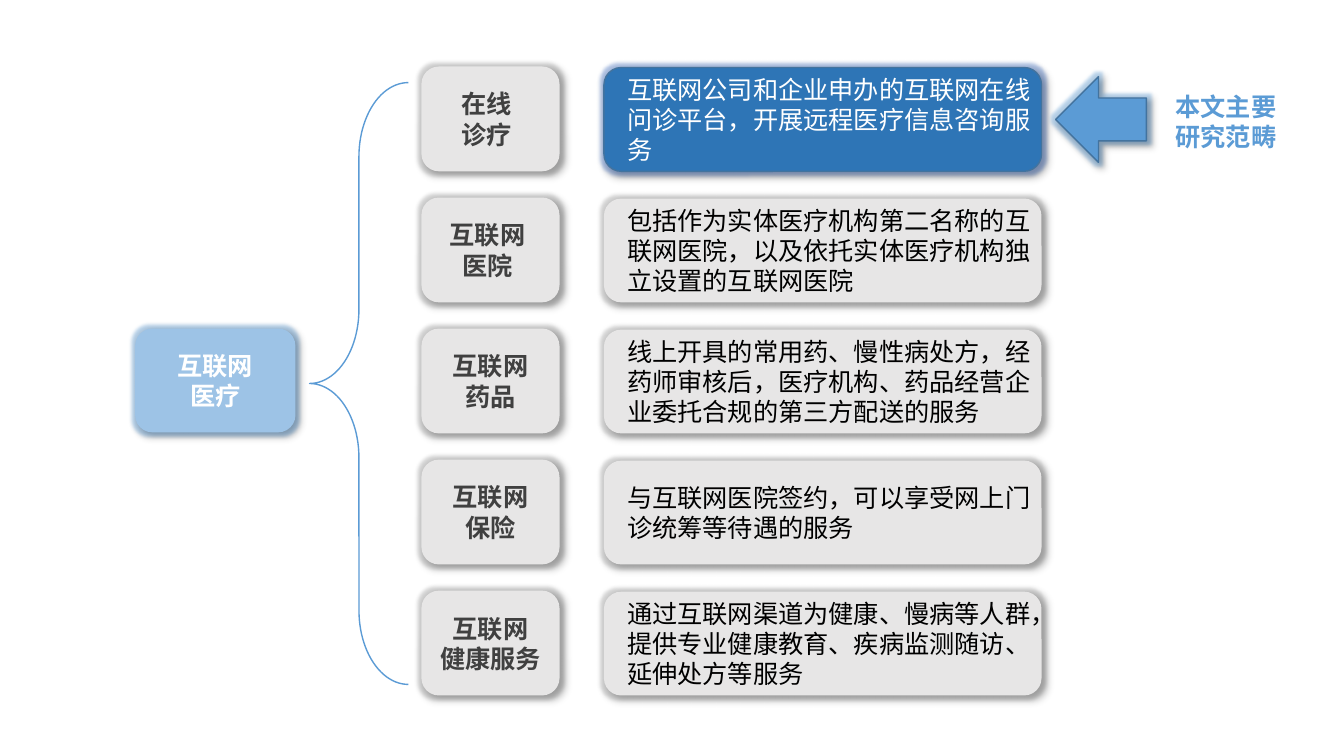
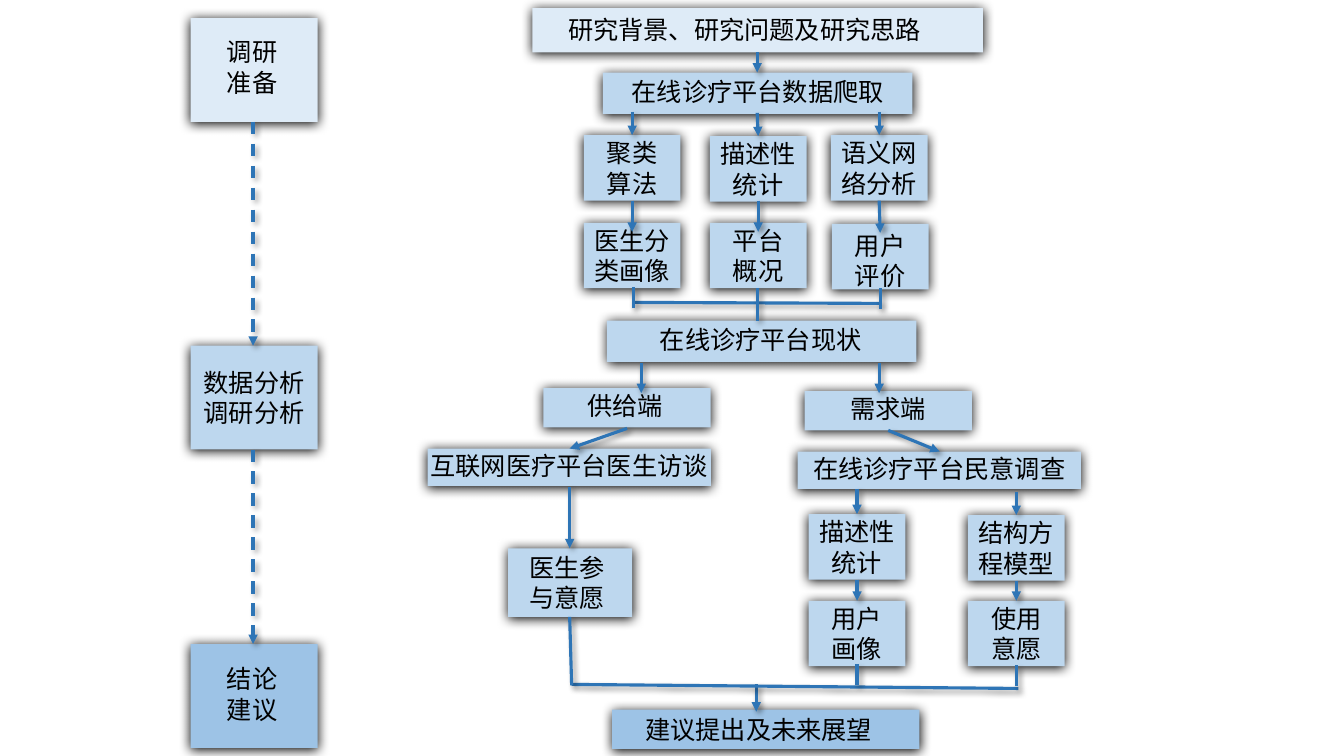
from lxml import etree
from pptx import Presentation
from pptx.dml.color import RGBColor
from pptx.enum.dml import MSO_LINE
from pptx.enum.shapes import MSO_CONNECTOR, MSO_SHAPE
from pptx.enum.text import MSO_ANCHOR, PP_ALIGN
from pptx.oxml import parse_xml
from pptx.oxml.ns import nsdecls, qn
from pptx.util import Inches, Pt

FONT = "Noto Sans CJK SC"
WHITE = RGBColor(0xFF, 0xFF, 0xFF)
BLACK = RGBColor(0x00, 0x00, 0x00)
DARK_GREY = RGBColor(0x40, 0x40, 0x40)
GREY = RGBColor(0xE7, 0xE6, 0xE6)
GLOW_GREY = RGBColor(0xA5, 0xA5, 0xA5)
GLOW_BLUE = RGBColor(0x44, 0x72, 0xC4)
PALE = RGBColor(0xDE, 0xEB, 0xF7)
LIGHT = RGBColor(0xBD, 0xD7, 0xEE)
MID = RGBColor(0x9D, 0xC3, 0xE6)
BLUE = RGBColor(0x5B, 0x9B, 0xD5)
DEEP = RGBColor(0x2E, 0x75, 0xB6)
EDGE = RGBColor(0x43, 0x73, 0x9E)

CHAR = 0.25  # width of one 18 pt character
SOFT = (4, 3, 45, 40)  # shadow: blur, distance, angle, opacity
HARD = (8.5, 1, 90, 100)


def set_effects(shape, shadow, glow=None):
    blur, dist, angle, alpha = shadow
    glow_xml = ""
    if glow is not None:
        glow_xml = (f'<a:glow rad="{Pt(5)}"><a:srgbClr val="{glow}">'
                    '<a:alpha val="40000"/></a:srgbClr></a:glow>')
    shape._element.spPr.append(parse_xml(
        f'<a:effectLst {nsdecls("a")}>{glow_xml}'
        f'<a:outerShdw blurRad="{Pt(blur)}" dist="{Pt(dist)}" '
        f'dir="{angle * 60000}" algn="t" rotWithShape="0">'
        f'<a:srgbClr val="000000"><a:alpha val="{alpha * 1000}"/></a:srgbClr>'
        '</a:outerShdw></a:effectLst>'))


def add_box(s, kind, x, y, w, h, fill, text="", chars=0, color=BLACK,
            bold=False, edge=None, shadow=SOFT, glow=None, shift=0, lift=0):
    """Box with centred text that wraps after the given number of characters."""
    sp = s.shapes.add_shape(kind, Inches(x), Inches(y), Inches(w), Inches(h))
    if fill is None:
        sp.fill.background()
    else:
        sp.fill.solid()
        sp.fill.fore_color.rgb = fill
    if edge is None:
        sp.line.fill.background()
    else:
        sp.line.color.rgb = edge
        sp.line.width = Pt(1)
    if shadow:
        set_effects(sp, shadow, glow)
    else:
        sp.shadow.inherit = False
    if not text:
        return sp
    tf = sp.text_frame
    tf.word_wrap = True
    tf.vertical_anchor = MSO_ANCHOR.MIDDLE
    lines = text.split("\n")
    chars = chars or max(len(line) for line in lines)
    inset = max(0, (w - chars * CHAR) / 2 - 0.06)
    tf.margin_left = Inches(inset - shift)
    tf.margin_right = Inches(inset + shift)
    tf.margin_top, tf.margin_bottom = 0, Inches(2 * lift)
    for i, line in enumerate(lines):
        p = tf.paragraphs[0] if i == 0 else tf.add_paragraph()
        p.alignment = PP_ALIGN.CENTER
        r = p.add_run()
        r.text = line
        r.font.name = FONT
        r.font.size = Pt(18)
        r.font.bold = bold
        r.font.color.rgb = color
        etree.SubElement(r._r.get_or_add_rPr(), qn("a:ea"), typeface=FONT)
    return sp


prs = Presentation()
prs.slide_width, prs.slide_height = Inches(13.33), Inches(7.5)
blank = prs.slide_layouts[6]

# Slide 1: branches of internet medicine
s = prs.slides.add_slide(blank)
ROUND = MSO_SHAPE.ROUNDED_RECTANGLE
add_box(s, ROUND, 1.34, 3.26, 1.59, 1.03, MID, "互联网\n医疗",
        color=WHITE, bold=True, glow=BLUE)
brace = add_box(s, MSO_SHAPE.LEFT_BRACE, 3.07, 0.82, 0.98, 5.97, None,
                edge=BLUE, shadow=None)
brace.adjustments[0] = 0.75

# Label, characters per line, label shift to the left, description
branches = [
    ("在线诊疗", 2, 0.04, "互联网公司和企业申办的互联网在线问诊平台，开展远程医疗信息咨询服务"),
    ("互联网医院", 3, 0.03, "包括作为实体医疗机构第二名称的互联网医院，以及依托实体医疗机构独立设置的互联网医院"),
    ("互联网\n药品", 3, 0, "线上开具的常用药、慢性病处方，经药师审核后，医疗机构、药品经营企业委托合规的第三方配送的服务"),
    ("互联网\n保险", 3, 0, "与互联网医院签约，可以享受网上门诊统筹等待遇的服务"),
    ("互联网\n健康服务", 4, 0, "通过互联网渠道为健康、慢病等人群，提供专业健康教育、疾病监测随访、延伸处方等服务"),
]
for i, (label, chars, shift, detail) in enumerate(branches):
    y = 0.66 + 1.3 * i
    first = i == 0
    add_box(s, ROUND, 4.18, y, 1.37, 1.04, GREY, label, chars, DARK_GREY,
            bold=True, glow=GLOW_GREY, shift=shift)
    sp = add_box(s, ROUND, 5.99, y + 0.01, 4.34, 1.03, DEEP if first else GREY,
                 detail, 16, WHITE if first else BLACK,
                 edge=EDGE if first else None,
                 glow=GLOW_BLUE if first else GLOW_GREY)
    tf = sp.text_frame
    tf.margin_left, tf.margin_right = Inches(0.18), Inches(0.03)
    tf.paragraphs[0].alignment = PP_ALIGN.LEFT

# Scope marker
add_box(s, MSO_SHAPE.LEFT_ARROW, 10.47, 0.76, 0.9, 0.85, BLUE, edge=EDGE, glow=BLUE)
add_box(s, MSO_SHAPE.RECTANGLE, 11.51, 0.85, 1.3, 0.71, None, "本文主要研究范畴", 4,
        BLUE, bold=True, shadow=None)

# Slide 2: research roadmap
s = prs.slides.add_slide(blank)

# Stages and wide steps: x, y, w, h, fill, text, characters per line,
# text shift to the left, text lift
steps = [
    (1.89, 0.18, 1.26, 1.03, PALE, "调研\n准备", 2, 0.02, 0.03),
    (1.89, 3.43, 1.26, 1.03, LIGHT, "数据分析调研分析", 4, 0, 0),
    (1.89, 6.39, 1.26, 1.03, MID, "结论\n建议", 2, 0.02, 0.02),
    (5.28, 0.08, 4.47, 0.44, PALE, "研究背景、研究问题及研究思路", 0, 0.13, 0.01),
    (5.98, 0.72, 3.07, 0.41, LIGHT, "在线诊疗平台数据爬取", 0, 0, 0.02),
    (6.02, 3.18, 3.07, 0.41, LIGHT, "在线诊疗平台现状", 0, 0.01, 0.02),
    (5.39, 3.85, 1.66, 0.39, LIGHT, "供给端", 0, 0.02, 0.02),
    (7.98, 3.88, 1.66, 0.39, LIGHT, "需求端", 0, 0, 0.02),
    (4.24, 4.45, 2.81, 0.37, LIGHT, "互联网医疗平台医生访谈", 0, 0, 0.02),
    (7.91, 4.48, 2.81, 0.37, LIGHT, "在线诊疗平台民意调查", 0, 0, 0.02),
    (5.04, 5.44, 1.23, 0.68, LIGHT, "医生参与意愿", 3, 0.03, 0),
    (6.07, 7.04, 3.05, 0.39, MID, "建议提出及未来展望", 0, 0.07, 0),
]
# Small steps: x, y, text, characters per line, text lift
small_steps = [
    (5.79, 1.34, "聚类算法", 2, 0),
    (7.04, 1.35, "描述性统计", 3, 0),
    (8.24, 1.34, "语义网络分析", 3, 0),
    (5.79, 2.21, "医生分类画像", 3, 0),
    (7.04, 2.21, "平台概况", 2, 0),
    (8.25, 2.22, "用户\n评价", 2, -0.04),
    (8.02, 5.10, "描述性统计", 3, 0),
    (9.60, 5.11, "结构方程模型", 3, 0),
    (8.02, 5.96, "用户画像", 2, 0),
    (9.60, 5.96, "使用意愿", 2, 0),
]
steps += [(x, y, 0.96, 0.65, LIGHT, text, chars, 0, lift)
          for x, y, text, chars, lift in small_steps]
for x, y, w, h, fill, text, chars, shift, lift in steps:
    add_box(s, MSO_SHAPE.RECTANGLE, x, y, w, h, fill, text, chars,
            shadow=HARD, shift=shift, lift=lift)

# Connectors: x1, y1, x2, y2
dashed_arrows = [(2.51, 1.21, 2.51, 3.43), (2.51, 4.46, 2.51, 6.39)]
arrows = [
    (7.51, 0.52, 7.51, 0.72),
    (6.27, 1.11, 6.27, 1.34), (7.51, 1.12, 7.52, 1.35), (8.72, 1.11, 8.72, 1.34),
    (6.27, 1.99, 6.27, 2.30), (7.52, 1.99, 7.52, 2.30), (8.72, 1.99, 8.73, 2.31),
    (6.36, 3.60, 6.36, 3.90), (8.72, 3.60, 8.72, 3.90),
    (6.22, 4.25, 5.65, 4.45), (8.81, 4.27, 9.32, 4.48),
    (5.65, 4.83, 5.65, 5.44), (8.50, 4.85, 8.50, 5.10), (10.08, 4.88, 10.08, 5.11),
    (8.50, 5.75, 8.50, 5.96), (10.08, 5.76, 10.08, 5.96),
    (7.50, 6.79, 7.50, 7.06),
]
plain_lines = [
    (6.27, 3.00, 8.73, 3.01), (6.28, 3.06, 6.28, 2.85),
    (7.51, 3.18, 7.51, 2.86), (8.73, 3.07, 8.73, 2.86),
    (5.67, 6.79, 10.10, 6.83), (5.65, 6.12, 5.67, 6.80),
    (8.50, 6.80, 8.50, 6.59), (10.08, 6.81, 10.08, 6.60),
]
for group, dashed, arrow in ((dashed_arrows, True, True), (arrows, False, True),
                             (plain_lines, False, False)):
    for ends in group:
        line = s.shapes.add_connector(MSO_CONNECTOR.STRAIGHT, *map(Inches, ends))
        line.line.color.rgb = DEEP
        line.line.width = Pt(2.25)
        if dashed:
            line.line.dash_style = MSO_LINE.DASH
        if arrow:
            etree.SubElement(line.line._get_or_add_ln(), qn("a:tailEnd"), type="triangle")
        set_effects(line, SOFT)

prs.save("out.pptx")
